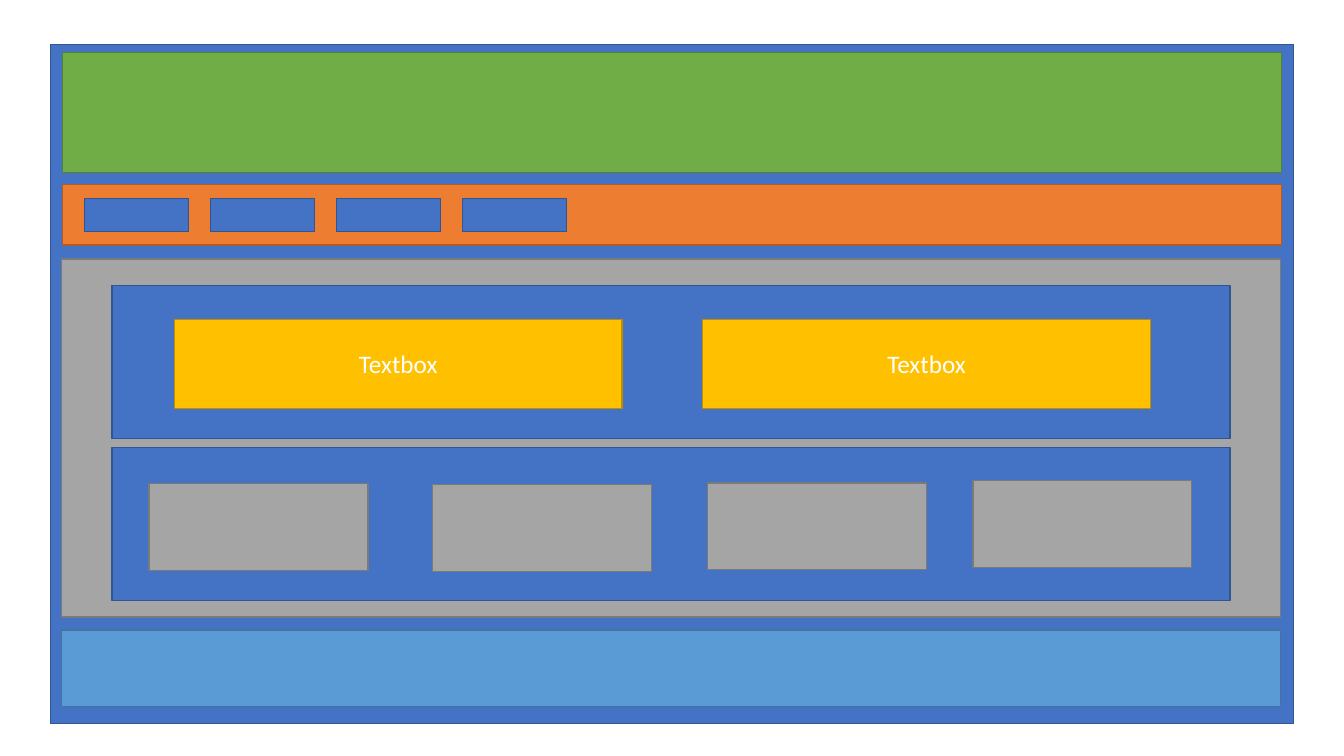
from pptx import Presentation
from pptx.dml.color import RGBColor
from pptx.enum.shapes import MSO_SHAPE
from pptx.enum.text import MSO_ANCHOR, PP_ALIGN
from pptx.util import Emu, Pt

EMU_PER_PX = 9144  # 100 px to the inch

# Each style is a fill and a line colour
BLUE = ("4472C4", "325491")
GREEN = ("70AD47", "538035")
ORANGE = ("ED7D31", "AF5C24")
GRAY = ("A5A5A5", "7A7A7A")
LIGHT_BLUE = ("5B9BD5", "43739E")
GOLD = ("FFC000", "BD8E00")


def px(length):
    return Emu(length * EMU_PER_PX)


def color(hex_string):
    return RGBColor.from_string(hex_string)


class Wireframe:
    """Holds the text style and the slide being drawn on."""

    font_name = "Calibri"
    font_size = Pt(18)
    font_color = "FFFFFF"
    line_width = Pt(1)

    def __init__(self, slide):
        self.slide = slide

    def block(self, left, top, width, height, style):
        shape = self.slide.shapes.add_shape(
            MSO_SHAPE.RECTANGLE, px(left), px(top), px(width), px(height))
        fill, line = style
        shape.shadow.inherit = False
        shape.fill.solid()
        shape.fill.fore_color.rgb = color(fill)
        shape.line.color.rgb = color(line)
        shape.line.width = self.line_width
        return shape

    def labelled_block(self, left, top, width, height, style, text):
        shape = self.block(left, top, width, height, style)
        frame = shape.text_frame
        frame.vertical_anchor = MSO_ANCHOR.MIDDLE
        paragraph = frame.paragraphs[0]
        paragraph.alignment = PP_ALIGN.CENTER
        run = paragraph.add_run()
        run.text = text
        run.font.name = self.font_name
        run.font.size = self.font_size
        run.font.color.rgb = color(self.font_color)
        return shape


def main():
    presentation = Presentation()
    presentation.slide_width = px(1333)
    presentation.slide_height = px(750)
    slide = presentation.slides.add_slide(presentation.slide_layouts[6])
    wireframe = Wireframe(slide)

    # Page and its full-width bands
    wireframe.block(50, 44, 1233, 674, BLUE)
    for left, top, height, style in (
        (62, 52, 119, GREEN),
        (62, 183, 60, ORANGE),
        (61, 257, 355, GRAY),
        (61, 625, 76, LIGHT_BLUE),
    ):
        wireframe.block(left, top, 1209, height, style)

    # Menu buttons
    for index in range(4):
        wireframe.block(84 + 125 * index, 197, 103, 33, BLUE)

    # Content panels
    for top in (283, 444):
        wireframe.block(111, top, 1109, 152, BLUE)

    for left in (173, 697):
        wireframe.labelled_block(left, 317, 444, 88, GOLD, "Textbox")

    # Cards are placed by hand, slightly off a common row
    for left, top in ((148, 480), (429, 481), (702, 479), (965, 477)):
        wireframe.block(left, top, 217, 86, GRAY)

    presentation.save("out.pptx")


if __name__ == "__main__":
    main()
